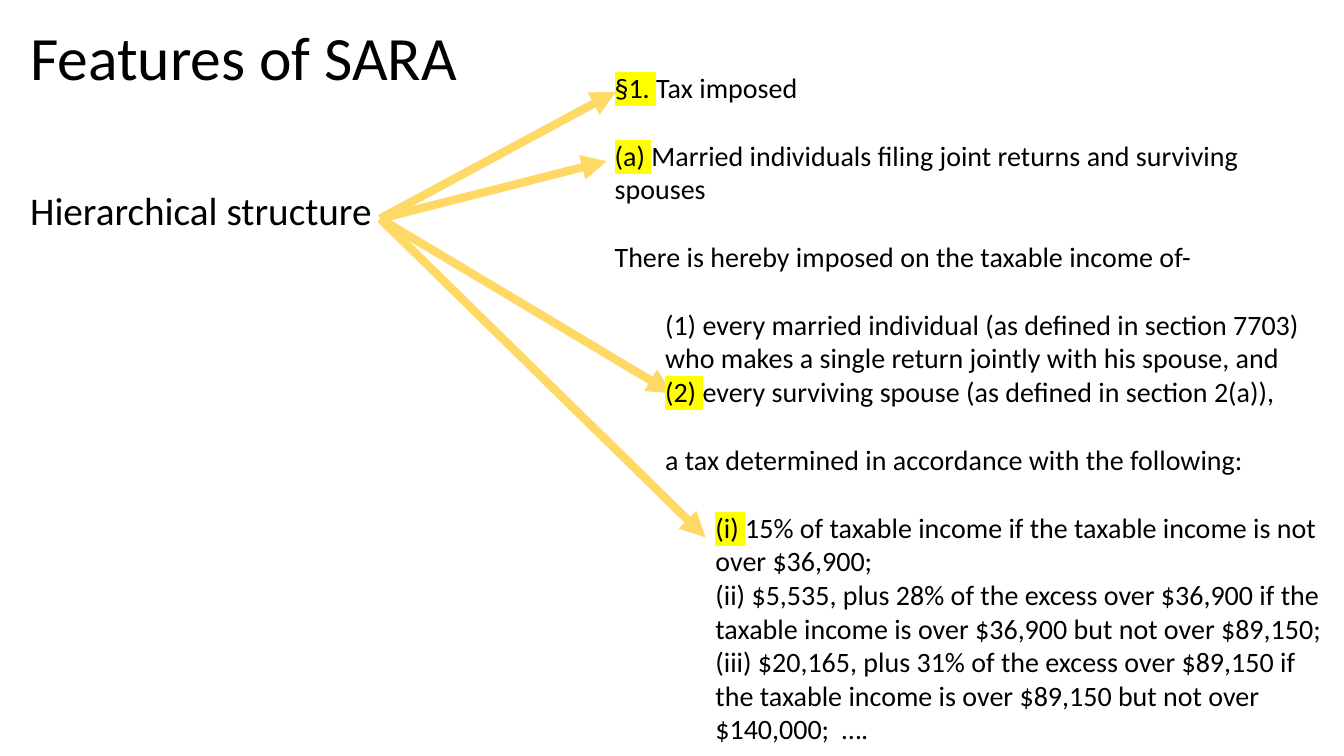
import dataclasses

import lxml.etree
import pptx
import pptx.dml.color
import pptx.enum.shapes
import pptx.enum.text
import pptx.oxml.ns
import pptx.util

Cm = pptx.util.Cm
Pt = pptx.util.Pt
qn = pptx.oxml.ns.qn


@dataclasses.dataclass(frozen=True)
class Theme:
    """Colours and type sizes of the slide."""
    font: str = "Calibri"
    ink: str = "000000"
    marker: str = "FFFF00"
    arrow: str = "FFD966"
    paper: str = "FFFFFF"
    title_size: float = 44
    feature_size: float = 28
    statute_size: float = 20
    clause_gap: float = 24.4
    arrow_width: float = 6


@dataclasses.dataclass(frozen=True)
class Box:
    """A region of the slide in centimetres."""
    left: float
    top: float
    width: float
    height: float


@dataclasses.dataclass(frozen=True)
class Clause:
    """One clause of the statute: its label, wording, depth and spacing."""
    label: str
    wording: str
    depth: int = 0
    gap: bool = True
    marked: bool = False


THEME = Theme()
TITLE_BOX = Box(0.51, 0, 29.21, 3.07)
FEATURE_BOX = Box(0.51, 4.7, 29.21, 12.09)
STATUTE_BOX = Box(15.24, 1.65, 18.59, 17.35)
ARROW_START = (9.07, 0.81)
ARROW_ENDS = [(0.28, 0.66), (0.05, 2.41), (1.7, 8.26), (2.54, 11.89)]
INDENT_STEP = 1.27

CLAUSES = [
    Clause("§1. ", "Tax imposed", gap=False, marked=True),
    Clause("(a) ", "Married individuals filing joint returns and surviving spouses",
           marked=True),
    Clause("", "There is hereby imposed on the taxable income of-"),
    Clause("(1) ", "every married individual (as defined in section 7703) who makes "
           "a single return jointly with his spouse, and", depth=1),
    Clause("(2) ", "every surviving spouse (as defined in section 2(a)),",
           depth=1, gap=False, marked=True),
    Clause("", "a tax determined in accordance with the following:", depth=1),
    Clause("(i) ", "15% of taxable income if the taxable income is not over $36,900;",
           depth=2, marked=True),
    Clause("(ii) ", "$5,535, plus 28% of the excess over $36,900 if the taxable "
           "income is over $36,900 but not over $89,150;", depth=2, gap=False),
    Clause("(iii) ", "$20,165, plus 31% of the excess over $89,150 if the taxable "
           "income is over $89,150 but not over $140,000;  ….", depth=2, gap=False),
]


def rgb(colour):
    """Return a colour object for a hex string."""
    return pptx.dml.color.RGBColor.from_string(colour)


def add_text(paragraph, text, size, colour=THEME.ink, highlight=None):
    """Append a formatted run to a paragraph."""
    run = paragraph.add_run()
    run.text = text
    run.font.size = Pt(size)
    run.font.name = THEME.font
    run.font.color.rgb = rgb(colour)
    if highlight:
        mark = lxml.etree.Element(qn("a:highlight"))
        lxml.etree.SubElement(mark, qn("a:srgbClr"), val=highlight)
        run.font._element.find(qn("a:solidFill")).addnext(mark)


def add_frame(slide, box, anchor=pptx.enum.text.MSO_ANCHOR.TOP):
    """Add a wrapping text box and return its text frame."""
    frame = slide.shapes.add_textbox(
        Cm(box.left), Cm(box.top), Cm(box.width), Cm(box.height)).text_frame
    frame.word_wrap = True
    frame.vertical_anchor = anchor
    return frame


def add_title(slide, box):
    """Place the slide title in the middle of its box."""
    heading = add_frame(slide, box, pptx.enum.text.MSO_ANCHOR.MIDDLE).paragraphs[0]
    heading.line_spacing = 0.9
    add_text(heading, "Features of SARA", size=THEME.title_size)


def add_feature(slide, box):
    """Place the feature that the arrows illustrate."""
    feature = add_frame(slide, box).paragraphs[0]
    feature.line_spacing = 0.9
    add_text(feature, "Hierarchical structure", size=THEME.feature_size)


def add_arrows(slide, feature_box, statute_box):
    """Draw arrows from the feature to the marked labels of the statute."""
    start_x = Cm(feature_box.left + ARROW_START[0])
    start_y = Cm(feature_box.top + ARROW_START[1])
    for across, down in ARROW_ENDS:
        arrow = slide.shapes.add_connector(
            pptx.enum.shapes.MSO_CONNECTOR.STRAIGHT, start_x, start_y,
            Cm(statute_box.left + across), Cm(statute_box.top + down))
        arrow.line.color.rgb = rgb(THEME.arrow)
        arrow.line.width = Pt(THEME.arrow_width)
        lxml.etree.SubElement(arrow.line._get_or_add_ln(), qn("a:tailEnd"),
                              type="triangle")
        lxml.etree.SubElement(arrow._element.spPr, qn("a:effectLst"))


def add_statute(slide, box):
    """Place the statute with one indent step per level."""
    frame = add_frame(slide, box)
    for position, clause in enumerate(CLAUSES):
        paragraph = frame.add_paragraph() if position else frame.paragraphs[0]
        if clause.depth:
            paragraph.level = clause.depth
            indent = Cm(INDENT_STEP * clause.depth)
            paragraph._p.get_or_add_pPr().set("marL", str(int(indent)))
        if clause.gap:
            paragraph.space_before = Pt(THEME.clause_gap)
        if clause.marked:
            add_text(paragraph, clause.label, size=THEME.statute_size,
                     highlight=THEME.marker)
            add_text(paragraph, clause.wording, size=THEME.statute_size)
        else:
            add_text(paragraph, clause.label + clause.wording,
                     size=THEME.statute_size)


def main():
    """Build the slide and save it."""
    deck = pptx.Presentation()
    deck.slide_width, deck.slide_height = Cm(33.87), Cm(19.05)
    slide = deck.slides.add_slide(deck.slide_layouts[6])
    slide.background.fill.solid()
    slide.background.fill.fore_color.rgb = rgb(THEME.paper)
    add_title(slide, TITLE_BOX)
    add_feature(slide, FEATURE_BOX)
    add_arrows(slide, FEATURE_BOX, STATUTE_BOX)
    add_statute(slide, STATUTE_BOX)
    deck.save("out.pptx")


if __name__ == "__main__":
    main()
